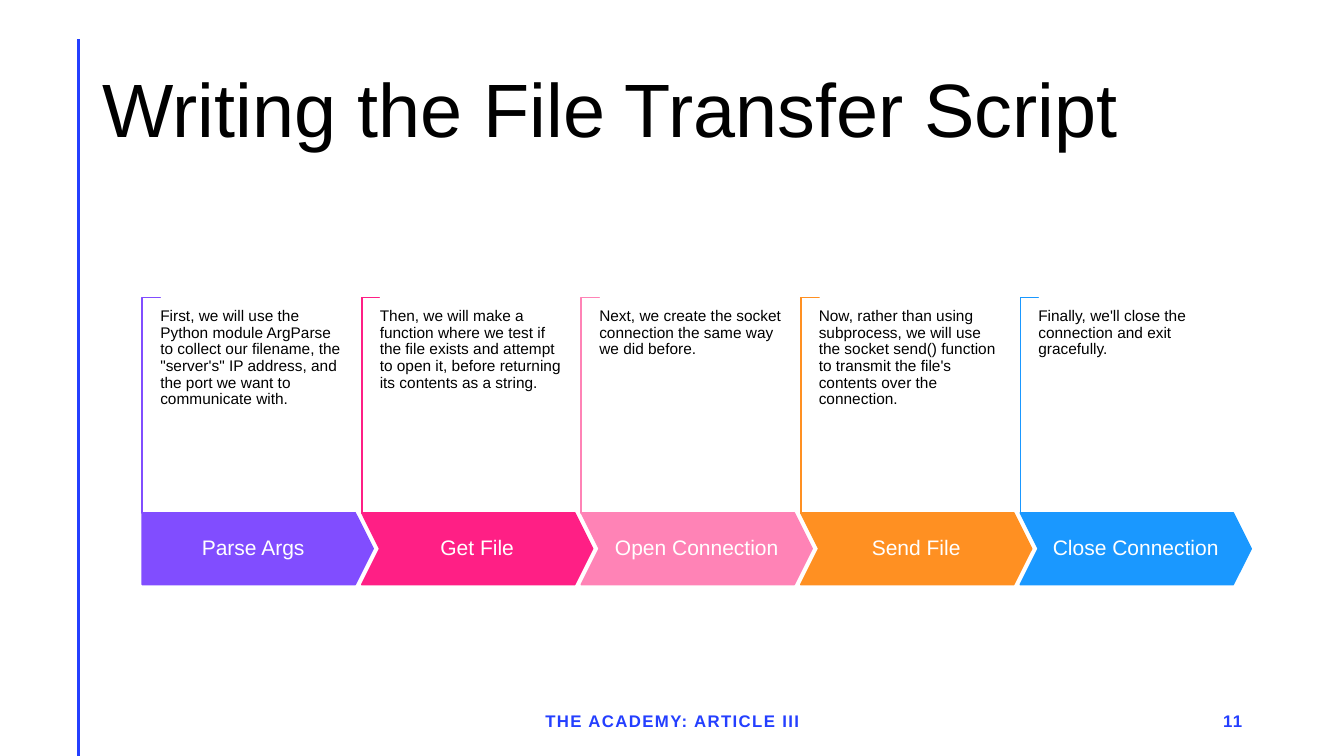
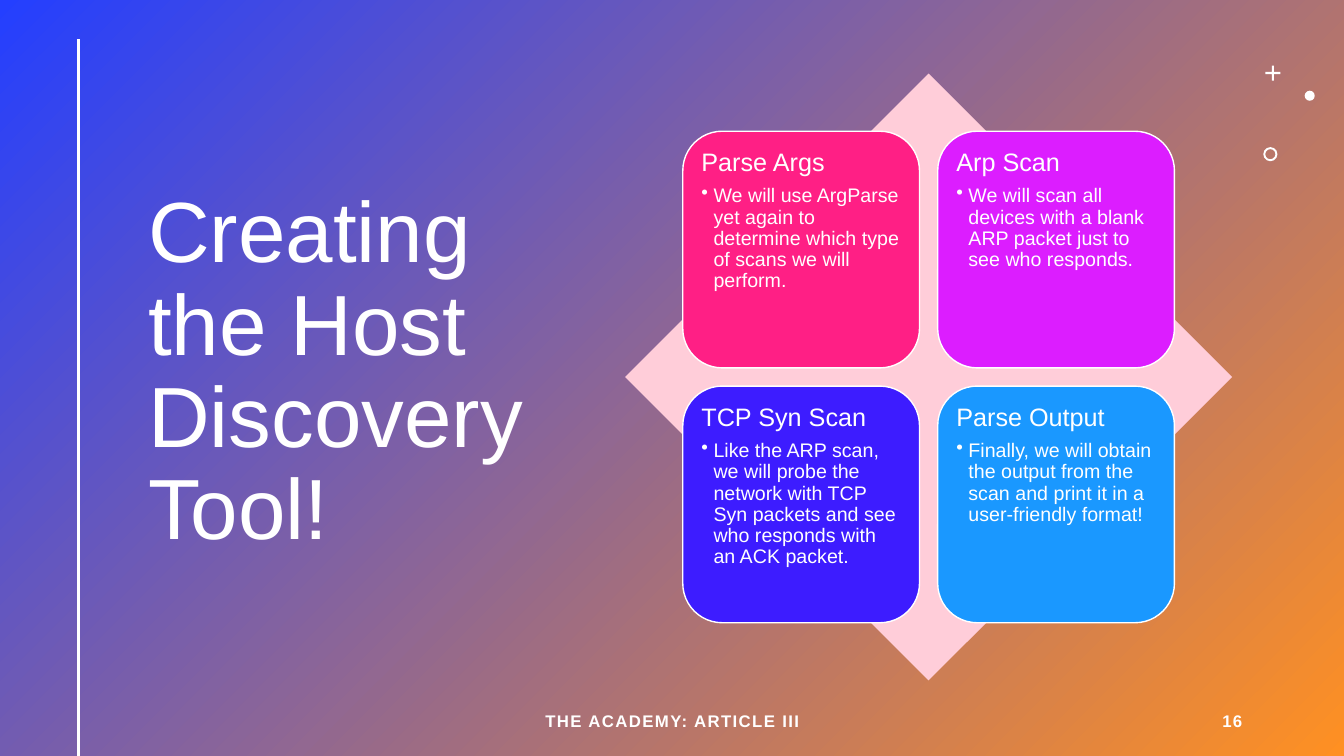
from lxml.etree import SubElement
from pptx import Presentation
from pptx.dml.color import RGBColor
from pptx.enum.shapes import MSO_CONNECTOR, MSO_SHAPE as Shape
from pptx.enum.text import MSO_ANCHOR as Anchor, PP_ALIGN as Align
from pptx.oxml.ns import qn
from pptx.util import Inches, Pt

# Shared look
WIDTH, HEIGHT = 13.33, 7.5
FONT = "Arial"
BLUE, ORANGE, WHITE, BLACK = "243FFF", "FF9022", "FFFFFF", "000000"
PINK, SKY, BLUSH = "FF1F85", "1A98FF", "FFCDD9"
FOOTER = "THE ACADEMY: ARTICLE III"

STEPS = [
    ("Parse Args", "814DFF",
     "First, we will use the Python module ArgParse to collect our filename, "
     "the \"server's\" IP address, and the port we want to communicate with."),
    ("Get File", PINK,
     "Then, we will make a function where we test if the file exists and "
     "attempt to open it, before returning its contents as a string."),
    ("Open Connection", "FF83B6",
     "Next, we create the socket connection the same way we did before."),
    ("Send File", ORANGE,
     "Now, rather than using subprocess, we will use the socket send() function "
     "to transmit the file's contents over the connection."),
    ("Close Connection", SKY,
     "Finally, we'll close the connection and exit gracefully."),
]

CARDS = [
    ("Parse Args", PINK,
     "We will use ArgParse yet again to determine which type of scans we will perform."),
    ("Arp Scan", "DC1DFF",
     "We will scan all devices with a blank ARP packet just to see who responds."),
    ("TCP Syn Scan", "3D1CFF",
     "Like the ARP scan, we will probe the network with TCP Syn packets "
     "and see who responds with an ACK packet."),
    ("Parse Output", SKY,
     "Finally, we will obtain the output from the scan and print it "
     "in a user-friendly format!"),
]


def rgb(code):
    return RGBColor.from_string(code)


def add_shape(page, kind, box, fill, line=None, adjust=()):
    shape = page.shapes.add_shape(kind, *map(Inches, box))
    shape.shadow.inherit = False
    shape.fill.solid()
    shape.fill.fore_color.rgb = rgb(fill)
    if line:
        shape.line.color.rgb = rgb(line)
        shape.line.width = Pt(1)
    else:
        shape.line.fill.background()
    for index, value in enumerate(adjust):
        shape.adjustments[index] = value
    return shape


def set_frame(shape, text, anchor=Anchor.TOP, insets=(0.1, 0.05)):
    frame = shape.text_frame
    frame.text = text
    frame.word_wrap = True
    frame.vertical_anchor = anchor
    frame.margin_left = frame.margin_right = Inches(insets[0])
    frame.margin_top = frame.margin_bottom = Inches(insets[1])
    return frame


def format_para(para, size, color, align=Align.LEFT, spacing=0.9, after=0,
                bold=False, tracking=0):
    para.alignment = align
    para.line_spacing = spacing
    para.space_after = Pt(after)
    for span in para.runs:
        span.font.name = FONT
        span.font.size = Pt(size)
        span.font.bold = bold
        span.font.color.rgb = rgb(color)
        if tracking:
            span.font._element.set("spc", str(tracking * 100))


def add_text(page, box, text, size, color, anchor=Anchor.TOP, insets=(0.1, 0.05), **style):
    shape = page.shapes.add_textbox(*map(Inches, box))
    frame = set_frame(shape, text, anchor, insets)
    format_para(frame.paragraphs[0], size, color, **style)


def add_bullet(para):
    properties = para._p.get_or_add_pPr()
    properties.set("marL", str(Inches(0.12)))
    properties.set("indent", str(-Inches(0.12)))
    SubElement(properties, qn("a:buChar")).set("char", "•")


def add_frame_parts(page, title, title_box, title_size, title_color, accent, number):
    """Side rule, title, footer and page number."""
    rule = page.shapes.add_connector(
        MSO_CONNECTOR.STRAIGHT, Inches(0.78), Inches(0.39), Inches(0.78), Inches(HEIGHT))
    rule.line.color.rgb = rgb(accent)
    rule.line.width = Pt(2)
    SubElement(rule._element.spPr, qn("a:effectLst"))

    add_text(page, title_box, title, title_size, title_color, Anchor.MIDDLE)
    for left, width, text, align in ((4.42, 4.5, FOOTER, Align.CENTER),
                                     (9.42, 3, number, Align.RIGHT)):
        add_text(page, (left, 6.95, width, 0.4), text, 12, accent, Anchor.MIDDLE,
                 align=align, spacing=1, bold=True, tracking=1)


def add_process(page, box):
    """A row of arrows, each with a bracket and a note above it."""
    left, top, width, height = box
    arrow_width = width / (1 + 0.95 * (len(STEPS) - 1))
    arrow_height = height * 0.25
    bracket_height = height - arrow_height
    tick = 0.18
    for index, (label, color, note) in enumerate(STEPS):
        x = left + index * arrow_width * 0.95
        # Bracket: an L turned a quarter, so its box is centred before turning
        bracket = add_shape(
            page, Shape.CORNER,
            (x + (tick - bracket_height) / 2, top + (bracket_height - tick) / 2,
             bracket_height, tick),
            WHITE, color, (0.01, 0.01))
        bracket.rotation = 90
        # Arrow
        arrow = add_shape(
            page, Shape.CHEVRON if index else Shape.PENTAGON,
            (x, top + bracket_height, arrow_width, arrow_height), color, color, (0.25,))
        frame = set_frame(arrow, label, Anchor.MIDDLE, (0.1, 0))
        format_para(frame.paragraphs[0], 15, WHITE, Align.CENTER)
        # Note
        add_text(page, (x + tick, top + 0.11, 1.86, bracket_height - 0.22),
                 note, 11, BLACK, insets=(0, 0))


def add_matrix(page, box):
    """A diamond with four cards on it."""
    left, top, side = box
    add_shape(page, Shape.DIAMOND, (left, top, side, side), BLUSH)
    card_side = side * 0.39
    margin = side * 0.095
    step = side - 2 * margin - card_side
    for index, (heading, color, detail) in enumerate(CARDS):
        row, column = divmod(index, 2)
        card = add_shape(
            page, Shape.ROUNDED_RECTANGLE,
            (left + margin + column * step, top + margin + row * step, card_side, card_side),
            color, WHITE)
        frame = set_frame(card, heading, insets=(0.07, 0.07))
        format_para(frame.paragraphs[0], 18, WHITE, after=6.3)
        para = frame.add_paragraph()
        para.text = detail
        add_bullet(para)
        format_para(para, 14, WHITE, after=2.1)


def add_ornaments(page):
    """Plus, dot and ring in the top right corner."""
    add_shape(page, Shape.CROSS, (12.55, 0.65, 0.15, 0.15), WHITE, adjust=(0.43,))
    add_shape(page, Shape.OVAL, (12.94, 0.9, 0.1, 0.1), WHITE)
    add_shape(page, Shape.DONUT, (12.53, 1.46, 0.14, 0.14), WHITE, adjust=(0.14,))


def add_backdrop(page):
    """Diagonal gradient over the whole slide."""
    backdrop = add_shape(page, Shape.RECTANGLE, (0, 0, WIDTH, HEIGHT), BLUE)
    backdrop.fill.gradient()
    backdrop.fill.gradient_angle = 315
    for stop, color in zip(backdrop.fill.gradient_stops, (BLUE, ORANGE)):
        stop.color.rgb = rgb(color)


def build_process_slide(page):
    add_frame_parts(page, "Writing the File Transfer Script", (0.92, 0.4, 11.5, 1.45),
                    54, BLACK, BLUE, "11")
    add_process(page, (1.41, 2.95, 11, 2.85))


def build_matrix_slide(page):
    add_backdrop(page)
    add_frame_parts(page, "Creating the Host Discovery Tool!", (1.37, 0.65, 4.31, 6.11),
                    61, WHITE, WHITE, "16")
    add_ornaments(page)
    add_matrix(page, (6.2, 0.73, 6.02))


def main():
    deck = Presentation()
    deck.slide_width, deck.slide_height = Inches(WIDTH), Inches(HEIGHT)
    for build in (build_process_slide, build_matrix_slide):
        build(deck.slides.add_slide(deck.slide_layouts[6]))
    deck.save("out.pptx")


if __name__ == "__main__":
    main()
